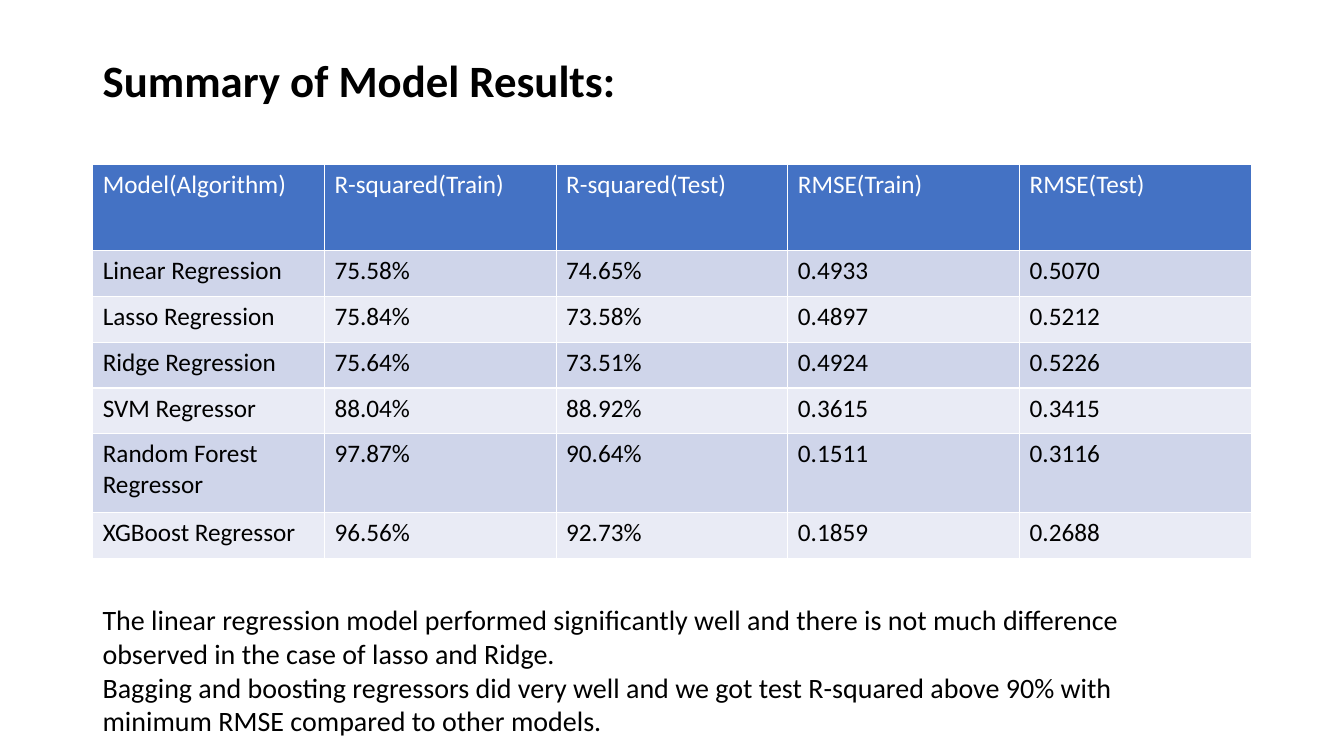
from dataclasses import dataclass

from pptx import Presentation
from pptx.dml.color import RGBColor
from pptx.enum.text import MSO_ANCHOR
from pptx.slide import Slide
from pptx.text.text import TextFrame
from pptx.util import Emu, Inches, Pt

WIDTH, HEIGHT = Inches(40 / 3), Inches(7.5)
COLUMN = WIDTH / 5.8  # five table columns and a margin of 0.4 on each side
ROW = HEIGHT / 16.5


@dataclass(frozen=True)
class Theme:
    font: str = "Calibri"
    ink: str = "000000"
    header_ink: str = "FFFFFF"
    header_fill: str = "4472C4"
    bands: tuple[str, str] = ("CFD5EA", "E9EBF5")
    title_size: int = 32
    table_size: int = 18
    note_size: int = 20


@dataclass(frozen=True)
class Area:
    """A place on the grid, in columns across and rows down."""
    left: float
    top: float
    width: float
    height: float

    def emu(self) -> tuple[Emu, Emu, Emu, Emu]:
        return (Emu(round(self.left * COLUMN)), Emu(round(self.top * ROW)),
                Emu(round(self.width * COLUMN)), Emu(round(self.height * ROW)))


@dataclass(frozen=True)
class TextBlock:
    area: Area
    lines: tuple[str, ...]
    size: int
    bold: bool = False
    anchor: MSO_ANCHOR = MSO_ANCHOR.TOP
    spacing: float = 1.0


@dataclass(frozen=True)
class ResultRow:
    values: tuple[str, ...]
    height: float = 1.0


THEME = Theme()

TEXT_BLOCKS = (
    TextBlock(Area(0.4, 0.88, 5, 1.87), ("Summary of Model Results:",),
              THEME.title_size, True, MSO_ANCHOR.MIDDLE, 0.9),
    TextBlock(Area(0.4, 13.05, 4.65, 3.19), (
        "The linear regression model performed significantly well and there is "
        "not much difference observed in the case of lasso and Ridge.",
        "Bagging and boosting regressors did very well and we got test R-squared "
        "above 90% with minimum RMSE compared to other models.",
    ), THEME.note_size),
)

RESULTS = (
    ResultRow(("Model(Algorithm)", "R-squared(Train)", "R-squared(Test)",
               "RMSE(Train)", "RMSE(Test)"), 1.89),
    ResultRow(("Linear Regression", "75.58%", "74.65%", "0.4933", "0.5070")),
    ResultRow(("Lasso Regression", "75.84%", "73.58%", "0.4897", "0.5212")),
    ResultRow(("Ridge Regression", "75.64%", "73.51%", "0.4924", "0.5226")),
    ResultRow(("SVM Regressor", "88.04%", "88.92%", "0.3615", "0.3415")),
    ResultRow(("Random Forest Regressor", "97.87%", "90.64%", "0.1511", "0.3116"), 1.72),
    ResultRow(("XGBoost Regressor", "96.56%", "92.73%", "0.1859", "0.2688")),
)


def write_lines(tf: TextFrame, lines: tuple[str, ...], size: int, color: str,
                bold: bool = False, spacing: float = 1.0) -> None:
    font_format = {"name": THEME.font, "size": Pt(size), "bold": bold}
    for i, line in enumerate(lines):
        p = tf.paragraphs[0] if i == 0 else tf.add_paragraph()
        p.line_spacing = spacing
        r = p.add_run()
        r.text = line
        for name, value in font_format.items():
            setattr(r.font, name, value)
        r.font.color.rgb = RGBColor.from_string(color)


def add_text_block(s: Slide, block: TextBlock) -> None:
    tf = s.shapes.add_textbox(*block.area.emu()).text_frame
    for name, value in {"word_wrap": True, "vertical_anchor": block.anchor}.items():
        setattr(tf, name, value)
    write_lines(tf, block.lines, block.size, THEME.ink, block.bold, block.spacing)


def add_results_table(s: Slide, rows: tuple[ResultRow, ...]) -> None:
    """Add the table; its default style draws the white rules between cells."""
    columns = len(rows[0].values)
    area = Area(0.4, 3.58, columns, sum(row.height for row in rows))
    table = s.shapes.add_table(len(rows), columns, *area.emu()).table
    for i, row in enumerate(rows):
        table.rows[i].height = Emu(round(row.height * ROW))
        fill = THEME.bands[(i - 1) % 2] if i else THEME.header_fill
        ink = THEME.ink if i else THEME.header_ink
        for j, value in enumerate(row.values):
            cell = table.cell(i, j)
            cell.fill.solid()
            cell.fill.fore_color.rgb = RGBColor.from_string(fill)
            write_lines(cell.text_frame, (value,), THEME.table_size, ink)


def main() -> None:
    prs = Presentation()
    prs.slide_width, prs.slide_height = WIDTH, HEIGHT
    s = prs.slides.add_slide(prs.slide_layouts[6])
    for block in TEXT_BLOCKS:
        add_text_block(s, block)
    add_results_table(s, RESULTS)
    prs.save("out.pptx")


if __name__ == "__main__":
    main()
